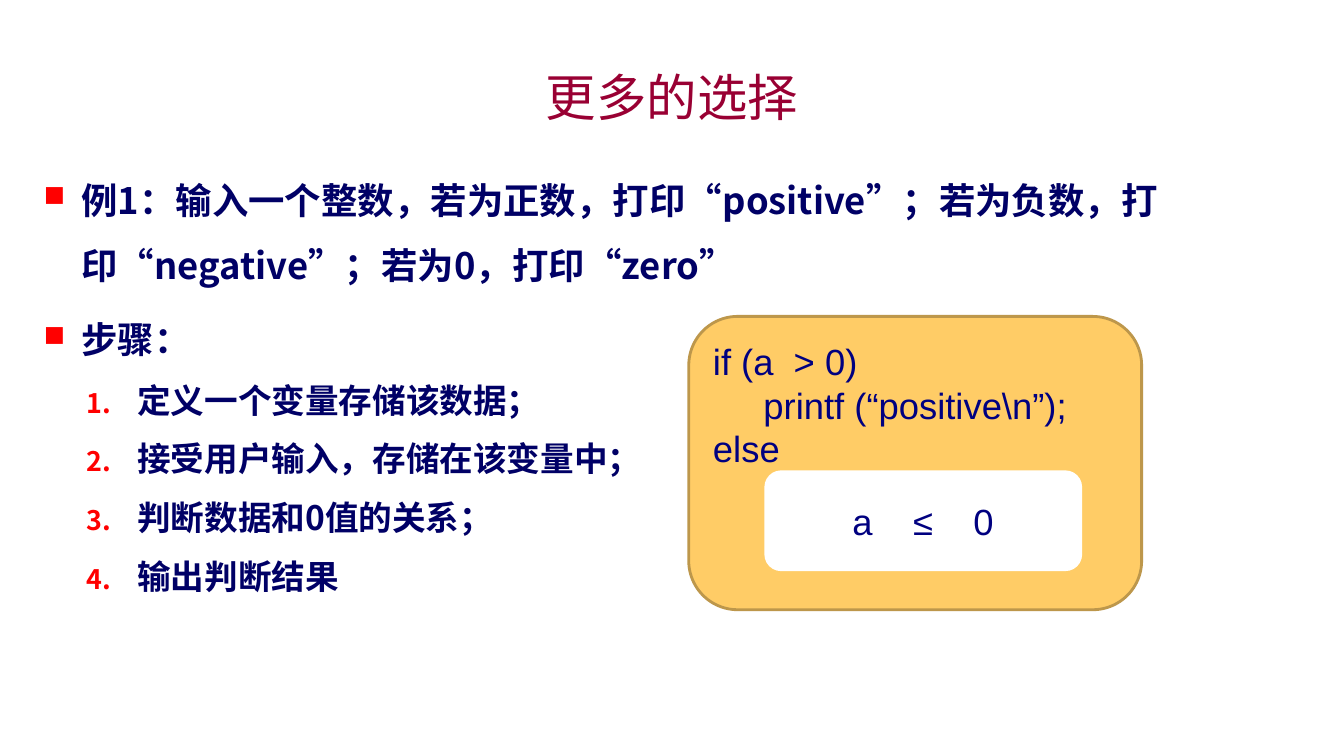
"""Build the slide on chained selection with its steps and code box."""
import pptx
import pptx.dml.color
import pptx.enum.shapes
import pptx.enum.text
import pptx.oxml.ns
import pptx.util
from lxml import etree

TITLE = "更多的选择"
TASKS = [
    "例1：输入一个整数，若为正数，打印“positive”；若为负数，打印“negative”；若为0，打印“zero”",
    "步骤：",
]
STEPS = [
    "定义一个变量存储该数据；",
    "接受用户输入，存储在该变量中；",
    "判断数据和0值的关系；",
    "输出判断结果",
]
CODE = [
    "if (a  > 0)",
    "     printf (“positive\\n”);",
    "else",
]
REMAINDER = "a    ≤    0"

THEME = {
    "cjk": "Noto Sans CJK SC", "latin": "Arial",
    "title": "990033", "body": "000066", "code": "000080", "bullet": "FF0000",
    "box": "FFCC66", "edge": "BD974B", "blank": "FFFFFF",
    "title_size": 36, "text_size": 26, "step_size": 24,
}
PLACES = {
    "title": (72, 42, 816, 54),
    "body": (24, 108, 912, 408),
    "code": (492, 226, 323.5, 209.5),
    "blank": (546, 336, 227, 72),
}
TASK_STYLE = {"marker": ("buChar", "char", "■"), "indent": 27, "left": 27,
              "size": THEME["text_size"], "spacing": 1.5}
STEP_STYLE = {"marker": ("buAutoNum", "type", "arabicPeriod"), "indent": 36, "left": 67,
              "size": THEME["step_size"], "spacing": 1.25, "level": 1}

Pt = pptx.util.Pt
qn = pptx.oxml.ns.qn
ALIGN = pptx.enum.text.PP_ALIGN
ANCHOR = pptx.enum.text.MSO_ANCHOR


def rgb(name):
    return pptx.dml.color.RGBColor.from_string(THEME[name])


def place(name):
    return [Pt(v) for v in PLACES[name]]


def add_bullet(p, marker, left, indent):
    pPr = p._p.get_or_add_pPr()
    pPr.set("marL", str(Pt(left)))
    pPr.set("indent", str(-Pt(indent)))
    color = etree.SubElement(pPr, qn("a:buClr"))
    etree.SubElement(color, qn("a:srgbClr"), val=THEME["bullet"])
    etree.SubElement(pPr, qn("a:buSzPct"), val="80000")
    tag, key, value = marker
    etree.SubElement(pPr, qn("a:" + tag), {key: value})


def add_text(tf, text, *, size, color, font, bold=False, align=ALIGN.LEFT,
             marker=None, left=0, indent=0, spacing=None, before=6, level=0):
    first = not tf.text
    p = tf.paragraphs[0] if first else tf.add_paragraph()
    p.alignment = align
    p.level = level
    if spacing:
        p.line_spacing = spacing
    p.space_before = Pt(0 if first else before)
    if marker:
        add_bullet(p, marker, left, indent)
    r = p.add_run()
    r.text = text
    r.font.size = Pt(size)
    r.font.bold = bold
    r.font.color.rgb = rgb(color)
    r.font.name = font
    if font == THEME["cjk"]:
        etree.SubElement(r._r.get_or_add_rPr(), qn("a:ea"), typeface=font)


def add_box(s, name, fill, edge=None):
    kind = pptx.enum.shapes.MSO_SHAPE.ROUNDED_RECTANGLE
    sp = s.shapes.add_shape(kind, *place(name))
    sp.shadow.inherit = False
    sp.fill.solid()
    sp.fill.fore_color.rgb = rgb(fill)
    if edge:
        sp.line.color.rgb = rgb(edge)
        sp.line.width = Pt(2)
    else:
        sp.line.fill.background()
    return sp.text_frame


def main():
    prs = pptx.Presentation()
    prs.slide_width, prs.slide_height = Pt(960), Pt(540)
    s = prs.slides.add_slide(prs.slide_layouts[5])

    title = s.shapes.title
    title.left, title.top, title.width, title.height = place("title")
    title.text_frame.vertical_anchor = ANCHOR.MIDDLE
    add_text(title.text_frame, TITLE, size=THEME["title_size"], color="title",
             font=THEME["cjk"], align=ALIGN.CENTER)

    tf = s.shapes.add_textbox(*place("body")).text_frame
    tf.word_wrap = True
    for lines, style in ((TASKS, TASK_STYLE), (STEPS, STEP_STYLE)):
        for line in lines:
            add_text(tf, line, color="body", font=THEME["cjk"], bold=True, **style)

    code_style = {"size": THEME["text_size"], "color": "code", "font": THEME["latin"]}
    tf = add_box(s, "code", "box", "edge")
    tf.vertical_anchor = ANCHOR.TOP
    tf.margin_top = Pt(6)
    for line in CODE:
        add_text(tf, line, before=0, **code_style)

    tf = add_box(s, "blank", "blank")
    tf.vertical_anchor = ANCHOR.MIDDLE
    add_text(tf, REMAINDER, align=ALIGN.CENTER, **code_style)
    prs.save("out.pptx")


if __name__ == "__main__":
    main()
